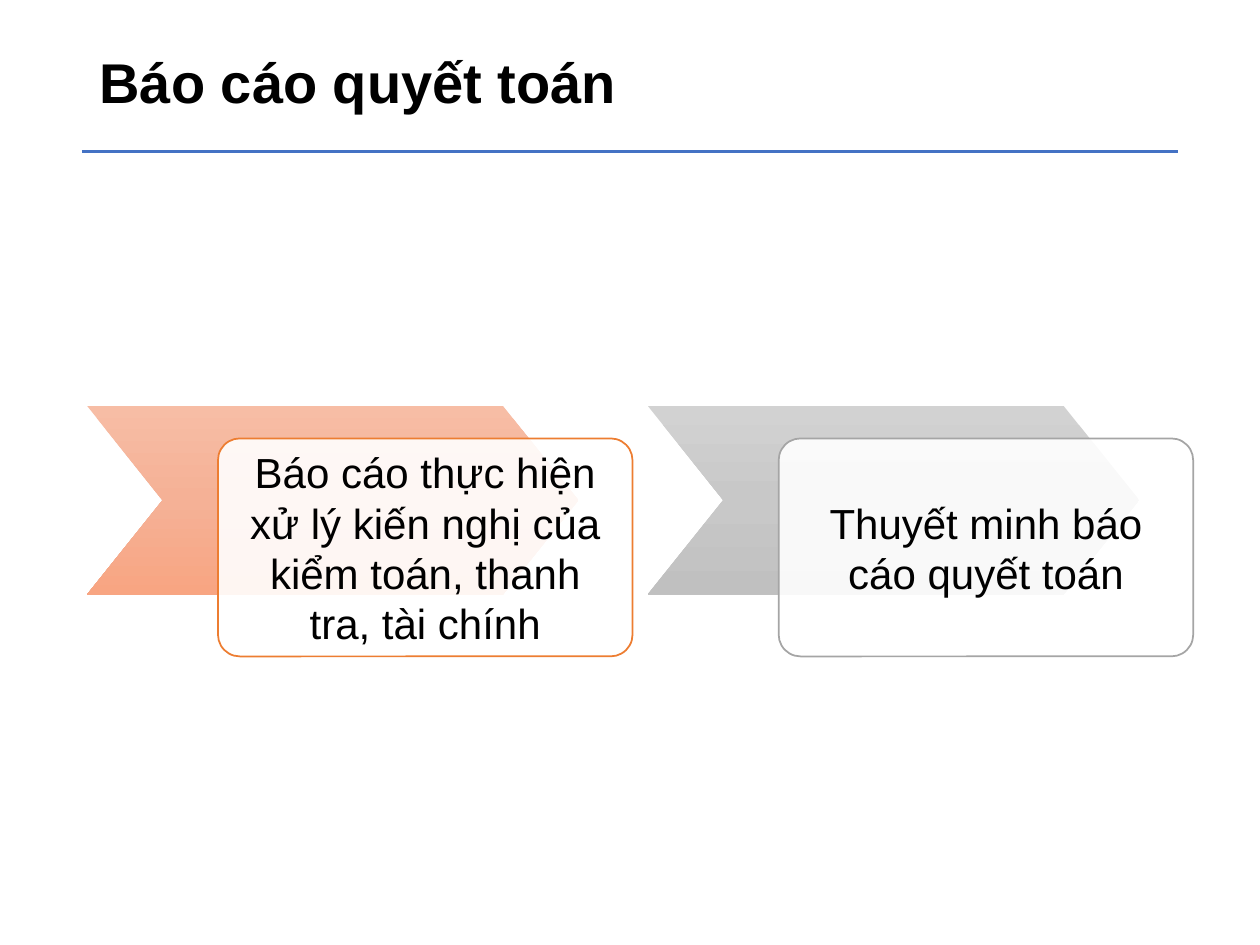
from copy import deepcopy

from lxml import etree
from pptx import Presentation
from pptx.dml.color import RGBColor
from pptx.enum.shapes import MSO_CONNECTOR, MSO_SHAPE
from pptx.enum.text import MSO_ANCHOR, PP_ALIGN
from pptx.oxml.ns import qn
from pptx.util import Inches, Pt

CHEVRON, ROUND_RECT = MSO_SHAPE.CHEVRON, MSO_SHAPE.ROUNDED_RECTANGLE
STRAIGHT = MSO_CONNECTOR.STRAIGHT
MIDDLE = MSO_ANCHOR.MIDDLE
LEFT, CENTER = PP_ALIGN.LEFT, PP_ALIGN.CENTER

# Content
TITLE = "Báo cáo quyết toán"
STEPS = [
    ("Báo cáo thực hiện xử lý kiến nghị của kiểm toán, thanh tra, tài chính", "orange"),
    ("Thuyết minh báo cáo quyết toán", "gray"),
]
COLORS = {"text": "000000", "rule": "4472C4", "card": "FFFFFF",
          "orange": "ED7D31", "gray": "A5A5A5"}
GRADIENTS = {"orange": ("F7BDA5", "F5B196", "F8A582"),
             "gray": ("D2D2D2", "C8C8C8", "C0C0C0")}

# Layout in inches
SLIDE_W, SLIDE_H = 10, 7.5
RULE_MARGIN, RULE_Y = 0.65, 1.2
LEFT_EDGE, TOP, PITCH = 0.69, 3.22, 4.45
CHEVRON_W, CHEVRON_H = 3.9, 1.5
CARD_DX, CARD_DY, CARD_W, CARD_H = 1.04, 0.26, 3.29, 1.73


def rgb(name):
    return RGBColor.from_string(COLORS[name])


def set_text(sp, text, size, bold=False, align=LEFT, spacing=1.0, inset=(0.1, 0.05)):
    tf = sp.text_frame
    tf.word_wrap = True
    tf.vertical_anchor = MIDDLE
    tf.margin_left = tf.margin_right = Inches(inset[0])
    tf.margin_top = tf.margin_bottom = Inches(inset[1])
    p = tf.paragraphs[0]
    p.alignment = align
    p.line_spacing = spacing
    r = p.add_run()
    r.text = text
    r.font.name, r.font.size, r.font.bold = "Arial", Pt(size), bold
    r.font.color.rgb = rgb("text")


def add_box(s, kind, x, y, w, h, adj):
    sp = s.shapes.add_shape(kind, Inches(x), Inches(y), Inches(w), Inches(h))
    sp.shadow.inherit = False
    sp.adjustments[0] = adj
    return sp


def fill_gradient(sp, stops):
    sp.fill.gradient()
    sp.fill.gradient_angle = 270
    # The default gradient has two stops, so add a middle one
    first = next(sp._element.spPr.iter(qn("a:gs")))
    first.addnext(deepcopy(first))
    for i, (stop, color) in enumerate(zip(sp.fill.gradient_stops, stops)):
        stop.position = i / (len(stops) - 1)
        stop.color.rgb = RGBColor.from_string(color)


def add_step(s, x, text, color):
    arrow = add_box(s, CHEVRON, x, TOP, CHEVRON_W, CHEVRON_H, 0.4)
    fill_gradient(arrow, GRADIENTS[color])
    arrow.line.fill.background()

    card = add_box(s, ROUND_RECT, x + CARD_DX, TOP + CARD_DY, CARD_W, CARD_H, 0.1)
    card.fill.solid()
    card.fill.fore_color.rgb = rgb("card")
    solid = card._element.spPr.find(qn("a:solidFill"))
    etree.SubElement(solid[0], qn("a:alpha"), val="90000")
    card.line.color.rgb = rgb(color)
    card.line.width = Pt(1)
    # The rounded corners already add a little to the inset
    set_text(card, text, 24, align=CENTER, inset=(0.18, 0))


def main():
    prs = Presentation()
    prs.slide_width, prs.slide_height = Inches(SLIDE_W), Inches(SLIDE_H)
    s = prs.slides.add_slide(prs.slide_layouts[5])

    # Title
    title = s.shapes.title
    title.left, title.top = Inches(LEFT_EDGE), Inches(0.15)
    title.width, title.height = Inches(4.45), Inches(1.06)
    set_text(title, TITLE, 32, bold=True, spacing=0.9)

    # Rule under the title
    rule = s.shapes.add_connector(STRAIGHT, Inches(RULE_MARGIN), Inches(RULE_Y),
                                  Inches(SLIDE_W - RULE_MARGIN), Inches(RULE_Y))
    rule.line.color.rgb = rgb("rule")
    rule.line.width = Pt(1.5)
    etree.SubElement(rule._element.spPr, qn("a:effectLst"))

    # Chevron steps
    for i, (text, color) in enumerate(STEPS):
        add_step(s, LEFT_EDGE + i * PITCH, text, color)

    prs.save("out.pptx")


if __name__ == "__main__":
    main()
